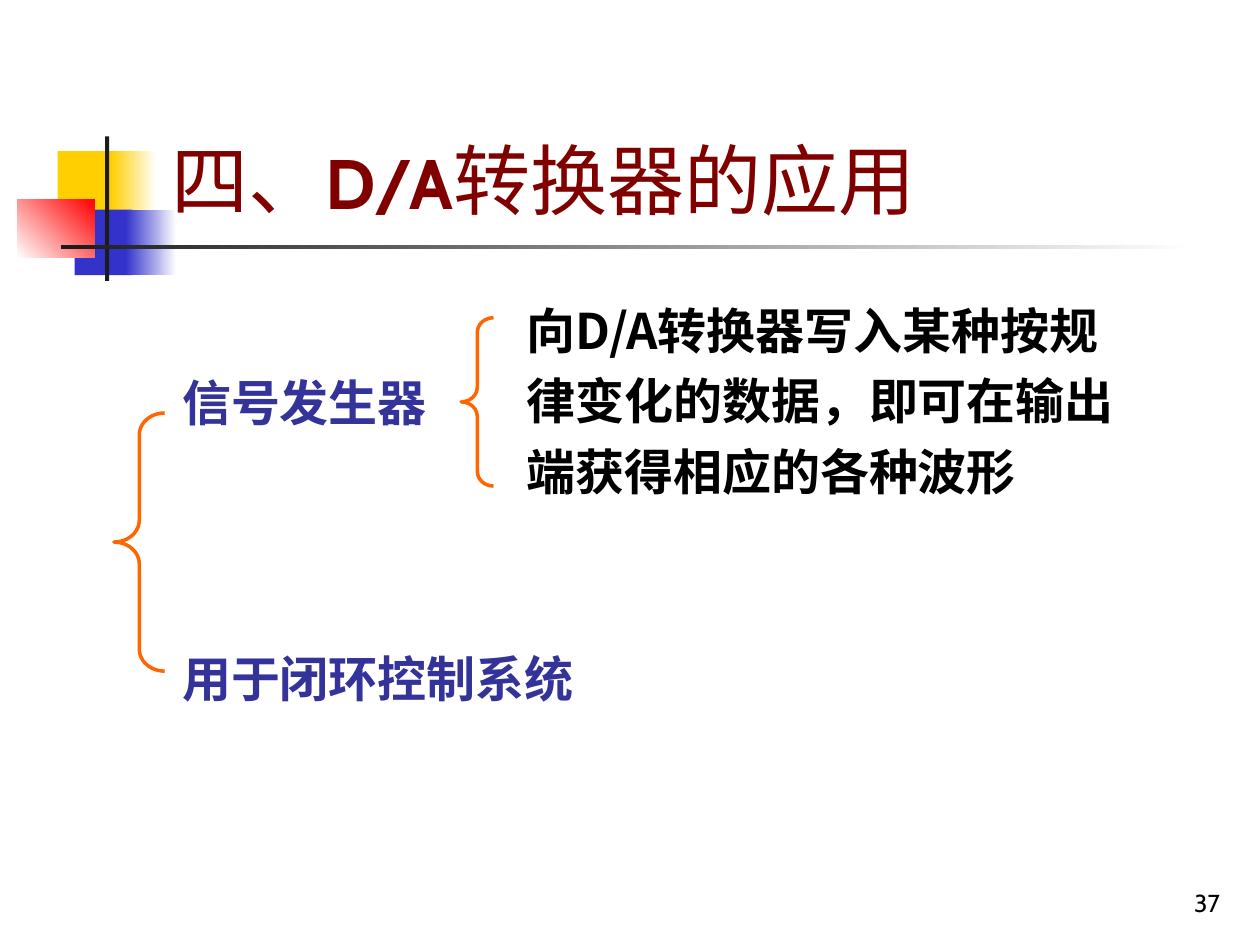
from dataclasses import dataclass
from typing import Optional

import pptx
import pptx.dml.color
import pptx.enum.shapes
import pptx.enum.text
import pptx.oxml.ns
import pptx.util
from lxml import etree

Pt = pptx.util.Pt
RGBColor = pptx.dml.color.RGBColor
Shape = pptx.enum.shapes.MSO_SHAPE
Anchor = pptx.enum.text.MSO_ANCHOR
Align = pptx.enum.text.PP_ALIGN

BLACK = RGBColor(0x00, 0x00, 0x00)
WHITE = RGBColor(0xFF, 0xFF, 0xFF)
YELLOW = RGBColor(0xFF, 0xCF, 0x01)
BLUE = RGBColor(0x33, 0x33, 0xCC)
RED = RGBColor(0xFF, 0x00, 0x00)
CHARCOAL = RGBColor(0x1C, 0x1C, 0x1C)
MAROON = RGBColor(0x80, 0x00, 0x00)
INDIGO = RGBColor(0x33, 0x33, 0x99)
ORANGE = RGBColor(0xFF, 0x66, 0x00)

LATIN_FONT = "Cabin"
CHINESE_FONT = "Noto Sans CJK SC"


@dataclass(frozen=True)
class Box:
    left: float
    top: float
    width: float
    height: float

    def lengths(self) -> list:
        return [Pt(n) for n in (self.left, self.top, self.width, self.height)]


@dataclass(frozen=True)
class Block:
    """A rectangle, solid or fading from start to end at an angle."""
    box: Box
    start: RGBColor
    end: Optional[RGBColor] = None
    angle: float = 0


@dataclass(frozen=True)
class Brace:
    box: Box
    curve: float


@dataclass(frozen=True)
class Run:
    text: str
    size: float
    bold: bool = False


@dataclass(frozen=True)
class Line:
    runs: tuple
    space_before: float = 0


@dataclass(frozen=True)
class Label:
    box: Box
    lines: tuple
    color: RGBColor
    font: str = LATIN_FONT
    anchor: Anchor = Anchor.TOP
    align: Align = Align.LEFT
    line_spacing: float = 1.0


BLOCKS = (
    Block(Box(33, 86.4, 35, 37.5), YELLOW),
    Block(Box(63.4, 86.4, 26, 37.5), YELLOW, WHITE),
    Block(Box(42.6, 119.8, 33, 37.5), BLUE),
    Block(Box(72, 119.8, 28.8, 37.5), BLUE, WHITE),
    Block(Box(9.8, 113.8, 44.3, 33.4), WHITE, RED, 45),
    Block(Box(60, 78, 2.4, 82.6), CHARCOAL),
    Block(Box(34.8, 140, 648, 2.6), CHARCOAL, WHITE),
)
BRACES = (
    Brace(Box(65.1, 236, 29, 147.5), 0.43),
    Brace(Box(263.5, 181.6, 18.5, 96.2), 0.45),
)
LABELS = (
    Label(Box(554.4, 491.8, 149.8, 36), (Line((Run("37", 14),)),),
          BLACK, anchor=Anchor.BOTTOM, align=Align.RIGHT),
    Label(Box(90.7, 16.6, 613.4, 115.2),
          (Line((Run("四、", 44), Run("D/A", 40, True),
                 Run("转换器的应用", 44))),),
          MAROON, anchor=Anchor.BOTTOM),
    Label(Box(97, 199.4, 286.8, 246.2),
          (Line((Run("信号发生器", 28, True),)),
           Line((Run("用于闭环控制系统", 28, True),), 114)),
          INDIGO, line_spacing=1.3),
    Label(Box(293.8, 161.3, 365.8, 128.2),
          (Line((Run("向D/A转换器写入某种按规律变化的数据，"
                     "即可在输出端获得相应的各种波形", 28, True),)),),
          BLACK, CHINESE_FONT, line_spacing=1.2),
)


def add_block(slide, block: Block) -> None:
    shape = slide.shapes.add_shape(Shape.RECTANGLE, *block.box.lengths())
    shape.shadow.inherit = False
    shape.line.fill.background()
    if block.end is None:
        shape.fill.solid()
        shape.fill.fore_color.rgb = block.start
        return
    shape.fill.gradient()
    shape.fill.gradient_angle = block.angle
    for stop, color, position in zip(
            shape.fill.gradient_stops, (block.start, block.end), (0, 1)):
        stop.color.rgb = color
        stop.position = position


def add_brace(slide, brace: Brace) -> None:
    shape = slide.shapes.add_shape(Shape.LEFT_BRACE, *brace.box.lengths())
    shape.shadow.inherit = False
    shape.fill.background()
    shape.line.color.rgb = ORANGE
    shape.line.width = Pt(2)
    shape.adjustments[0] = brace.curve


def set_east_asian_font(run, name: str) -> None:
    properties = run.font._element
    tag = pptx.oxml.ns.qn("a:ea")
    etree.SubElement(properties, tag).set("typeface", name)


def add_label(slide, label: Label) -> None:
    frame = slide.shapes.add_textbox(*label.box.lengths()).text_frame
    frame.word_wrap = True
    frame.vertical_anchor = label.anchor
    for index, line in enumerate(label.lines):
        paragraph = frame.add_paragraph() if index else frame.paragraphs[0]
        paragraph.alignment = label.align
        paragraph.line_spacing = label.line_spacing
        paragraph.space_before = Pt(line.space_before)
        paragraph.font.name = label.font
        paragraph.font.color.rgb = label.color
        for part in line.runs:
            run = paragraph.add_run()
            run.text = part.text
            run.font.size = Pt(part.size)
            run.font.bold = part.bold
            set_east_asian_font(run, label.font)


def main() -> None:
    presentation = pptx.Presentation()
    presentation.slide_width = Pt(720)
    presentation.slide_height = Pt(540)
    slide = presentation.slides.add_slide(presentation.slide_layouts[6])
    for block in BLOCKS:
        add_block(slide, block)
    for label in LABELS:
        add_label(slide, label)
    for brace in BRACES:
        add_brace(slide, brace)
    presentation.save("out.pptx")


if __name__ == "__main__":
    main()
